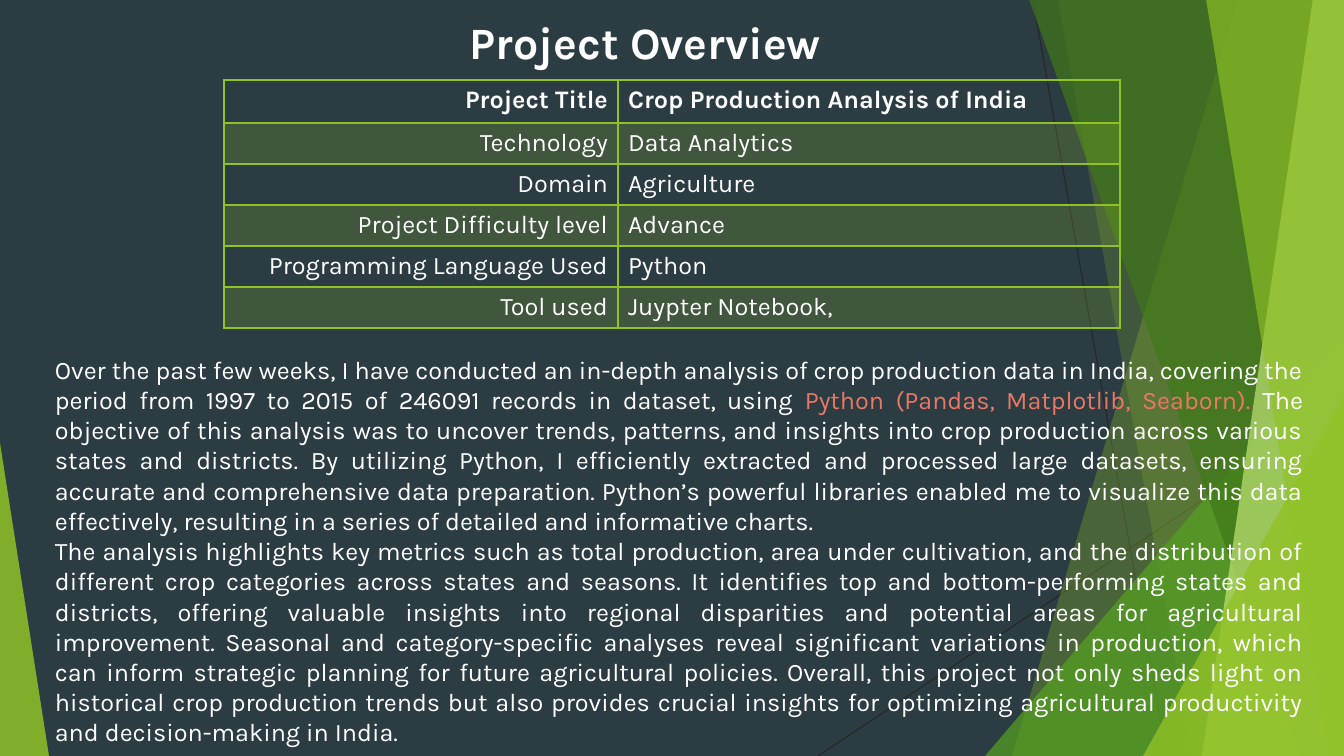
import pptx
import pptx.util
import pptx.dml.color
import pptx.enum.shapes
import pptx.enum.text
import pptx.oxml
import pptx.oxml.ns
from lxml import etree

PX = 12192000 / 1344
W, H = 1344, 756
COLORS = {
    "background": "2C3C43", "white": "FFFFFF", "coral": "EB7766", "line": "262626",
    "lime": "90C226", "green": "54A021", "forest": "3F7819", "pale": "C0E474",
}
qn = pptx.oxml.ns.qn
rgb = {name: pptx.dml.color.RGBColor.from_string(c) for name, c in COLORS.items()}
PP_ALIGN = pptx.enum.text.PP_ALIGN


def px(*values):
    """Turn pixel lengths into EMU."""
    return [round(v * PX) for v in values]


def add_text(p, text, color="white", size=18, bold=False, align=PP_ALIGN.LEFT):
    p.alignment = align
    r = p.add_run()
    r.text = text
    r.font.name = "Karla"
    r.font.size = pptx.util.Pt(size)
    r.font.bold = bold
    r.font.color.rgb = rgb[color]


prs = pptx.Presentation()
prs.slide_width, prs.slide_height = px(W, H)
s = prs.slides.add_slide(prs.slide_layouts[6])
s.background.fill.solid()
s.background.fill.fore_color.rgb = rgb["background"]

# Thin crossing lines
for ends in [(1033, 0, 1167, H), (W, 406, 818, H)]:
    line = s.shapes.add_connector(pptx.enum.shapes.MSO_CONNECTOR.STRAIGHT, *px(*ends))
    line.line.color.rgb = rgb["line"]
    line.line.width = pptx.util.Pt(0.75)
    etree.SubElement(line._element.spPr, qn("a:effectLst"))

# Facets, back to front: a band is (top x, bottom x) up to the right edge,
# a triangle is (left, top, width, apex position)
facets = [
    ((1238, 1012), "lime", 30),
    ((1058, 1192), "lime", 20),
    ((985, 336, 359, 1), "green", 72),
    ((1029, 1301), "forest", 70),
    ((1313, 1202), "pale", 70),
    ((1206, 1329), "lime", 65),
    ((1143, 396, 201, 1), "lime", 80),
    ((0, 443, 49, 0), "lime", 85),
]
for geometry, color, opacity in facets:
    if len(geometry) == 2:
        top_x, bottom_x = geometry
        outline = s.shapes.build_freeform(top_x, -1, scale=PX)
        outline.add_line_segments([(W, -1), (W, H), (bottom_x, H)], close=True)
        sp = outline.convert_to_shape()
    else:
        left, top, width, apex = geometry
        sp = s.shapes.add_shape(pptx.enum.shapes.MSO_SHAPE.ISOSCELES_TRIANGLE,
                                *px(left, top, width, H - top))
        sp.adjustments[0] = apex
    sp.shadow.inherit = False
    sp.line.fill.background()
    sp.fill.solid()
    sp.fill.fore_color.rgb = rgb[color]
    clr = next(sp._element.spPr.iter(qn("a:srgbClr")))
    etree.SubElement(clr, qn("a:alpha"), val=str(opacity * 1000))

# Title
tf = s.shapes.add_textbox(*px(394, 10, 503, 64)).text_frame
tf.word_wrap = True
add_text(tf.paragraphs[0], "Project Overview", size=32, bold=True, align=PP_ALIGN.CENTER)

# Summary
summary = [
    [("Over the past few weeks, I have conducted an in-depth analysis of crop production data in "
      "India, covering the period from 1997 to 2015 of 246091 records in dataset, using ", "white"),
     ("Python (Pandas, Matplotlib, Seaborn). ", "coral"),
     ("The objective of this analysis was to uncover trends, patterns, and insights into crop "
      "production across various states and districts. By utilizing Python, I efficiently "
      "extracted and processed large datasets, ensuring accurate and comprehensive data "
      "preparation. Python’s powerful libraries enabled me to visualize this data effectively, "
      "resulting in a series of detailed and informative charts.", "white")],
    [("The analysis highlights key metrics such as total production, area under cultivation, and "
      "the distribution of different crop categories across states and seasons. It identifies top "
      "and bottom-performing states and districts, offering valuable insights into regional "
      "disparities and potential areas for agricultural improvement. Seasonal and "
      "category-specific analyses reveal significant variations in production, which can inform "
      "strategic planning for future agricultural policies. Overall, this project not only sheds "
      "light on historical crop production trends but also provides crucial insights for "
      "optimizing agricultural productivity and decision-making in India.", "white")],
]
tf = s.shapes.add_textbox(*px(45, 349, 1268, 407)).text_frame
tf.word_wrap = True
for i, runs in enumerate(summary):
    p = tf.add_paragraph() if i else tf.paragraphs[0]
    for text, color in runs:
        add_text(p, text, color=color, align=PP_ALIGN.JUSTIFY)

# Project facts
facts = [
    ("Project Title", "Crop Production Analysis of India"),
    ("Technology", "Data Analytics"),
    ("Domain", "Agriculture"),
    ("Project Difficulty level", "Advance"),
    ("Programming Language Used", "Python"),
    ("Tool used", "Juypter Notebook,"),
]
table = s.shapes.add_table(len(facts), 2, *px(224, 80, 896, 248)).table
table.horz_banding = False
for column, width in zip(table.columns, px(394, 502)):
    column.width = width
for i, fact in enumerate(facts):
    table.rows[i].height = px(41 if i else 43)[0]
    for j, text in enumerate(fact):
        cell = table.cell(i, j)
        add_text(cell.text_frame.paragraphs[0], text, bold=i == 0,
                 align=PP_ALIGN.LEFT if j else PP_ALIGN.RIGHT)
        tcPr = cell._tc.get_or_add_tcPr()
        if i % 2:
            cell.fill.solid()
            cell.fill.fore_color.rgb = rgb["lime"]
            clr = next(tcPr.iter(qn("a:srgbClr")))
            etree.SubElement(clr, qn("a:alpha"), val="20000")
        else:
            cell.fill.background()
        for k, side in enumerate("LRTB"):
            heavy = (i, side) in [(0, "B"), (1, "T")]
            border = etree.Element(qn(f"a:ln{side}"), w=str(pptx.util.Pt(2 if heavy else 1)))
            fill = etree.SubElement(border, qn("a:solidFill"))
            etree.SubElement(fill, qn("a:srgbClr"), val=COLORS["lime"])
            tcPr.insert(k, border)

prs.save("out.pptx")
